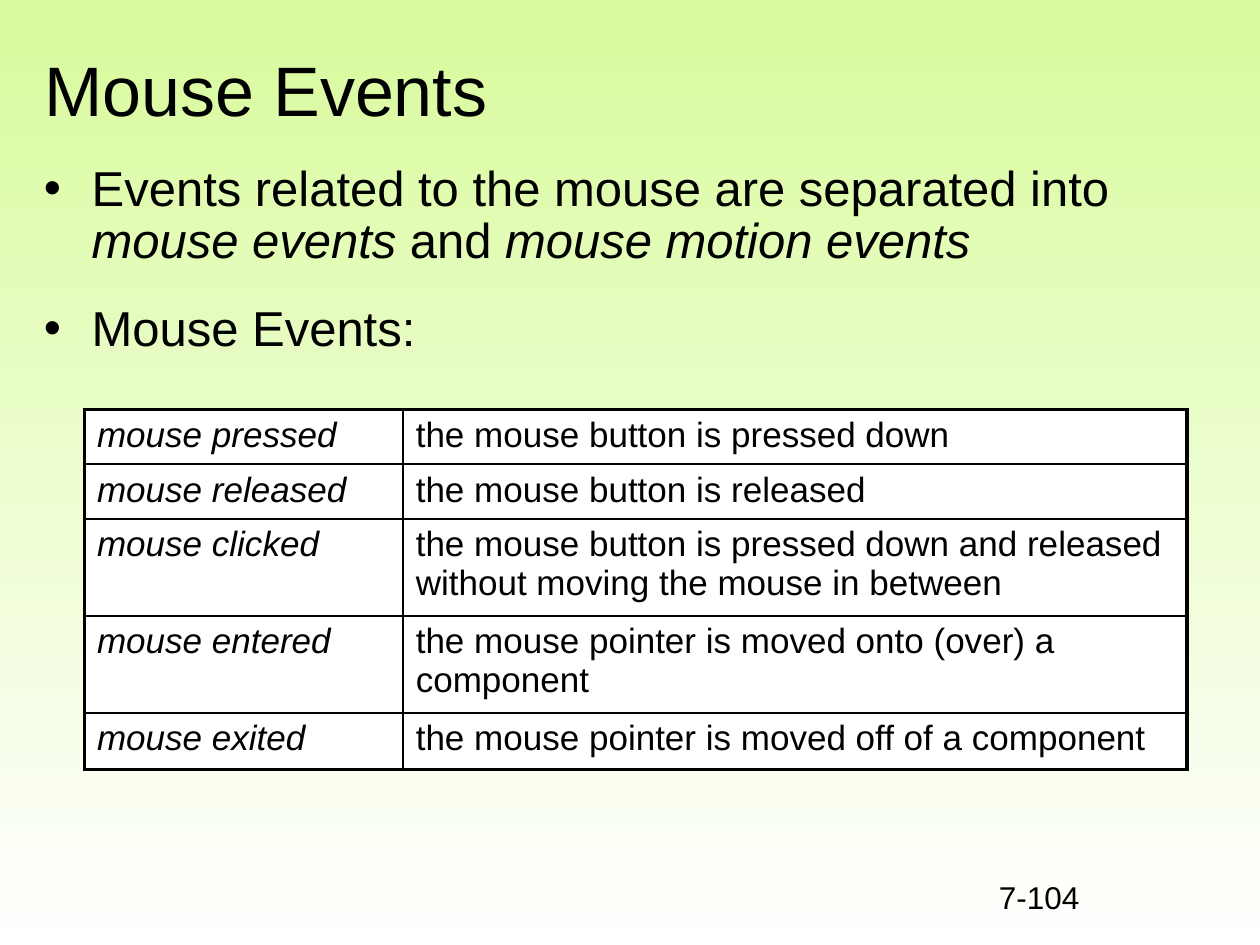
"""Build the Mouse Events slide with its bullets and event table."""
from lxml import etree
from pptx import Presentation
from pptx.dml.color import RGBColor
from pptx.enum.text import MSO_ANCHOR, PP_ALIGN
from pptx.oxml.ns import qn
from pptx.util import Inches, Pt

LEFT = PP_ALIGN.LEFT
TOP, MIDDLE = MSO_ANCHOR.TOP, MSO_ANCHOR.MIDDLE

THEME = {
    "font": "Arial", "ink": "000000", "paper": "FFFFFF", "sky": "D9FB9D",
    "title": 40, "body": 28, "cell": 20, "number": 18,
    "outer": 2.25, "inner": 1,
}

TITLE = "Mouse Events"
BULLETS = [
    [("Events related to the mouse are separated into ", False),
     ("mouse events", True), (" and ", False), ("mouse motion events", True)],
    [("Mouse Events:", False)],
]
EVENTS = [
    ("mouse pressed", "the mouse button is pressed down"),
    ("mouse released", "the mouse button is released"),
    ("mouse clicked", "the mouse button is pressed down and released "
                      "without moving the mouse in between"),
    ("mouse entered", "the mouse pointer is moved onto (over) a component"),
    ("mouse exited", "the mouse pointer is moved off of a component"),
]
PAGE_NUMBER = "7-104"

TITLE_BOX = (0.25, 0.08, 9.33, 1.25)
BODY_BOX = (0.25, 1.25, 9.5, 1.83)
TABLE_BOX = (0.67, 3.25, 8.75, 2.85)
NUMBER_BOX = (7.83, 6.92, 2.08, 0.5)
COLUMN_WIDTHS = [2.53, 6.22]
ROW_HEIGHTS = [0.43, 0.43, 0.77, 0.77, 0.45]
BULLET_INDENT = 0.38


def inches(box):
    return [Inches(length) for length in box]


def add_bullet(paragraph):
    properties = paragraph._p.get_or_add_pPr()
    properties.set("marL", str(Inches(BULLET_INDENT)))
    properties.set("indent", str(-Inches(BULLET_INDENT)))
    etree.SubElement(properties, qn("a:buFont"), typeface=THEME["font"])
    etree.SubElement(properties, qn("a:buChar"), char="•")


def write(frame, paragraphs, size, bullet=False, anchor=TOP, spacing=1, gap=0):
    frame.word_wrap = True
    frame.vertical_anchor = anchor
    for index, runs in enumerate(paragraphs):
        paragraph = frame.add_paragraph() if index else frame.paragraphs[0]
        paragraph.alignment = LEFT
        paragraph.line_spacing = spacing
        paragraph.space_before = Pt(gap if index else 0)
        if bullet:
            add_bullet(paragraph)
        for text, italic in runs:
            run = paragraph.add_run()
            run.text = text
            run.font.name = THEME["font"]
            run.font.size = Pt(size)
            run.font.italic = italic
            run.font.color.rgb = RGBColor.from_string(THEME["ink"])


def set_borders(cell, outer_sides):
    properties = cell._tc.get_or_add_tcPr()
    for index, side in enumerate("LRTB"):
        width = THEME["outer" if side in outer_sides else "inner"]
        border = etree.Element(qn(f"a:ln{side}"), w=str(Pt(width)))
        fill = etree.SubElement(border, qn("a:solidFill"))
        etree.SubElement(fill, qn("a:srgbClr"), val=THEME["ink"])
        properties.insert(index, border)


def add_event_table(slide):
    rows, columns = len(EVENTS), len(COLUMN_WIDTHS)
    table = slide.shapes.add_table(rows, columns, *inches(TABLE_BOX)).table
    table.first_row = table.horz_banding = False
    for column, width in zip(table.columns, COLUMN_WIDTHS):
        column.width = Inches(width)
    for row, height in zip(table.rows, ROW_HEIGHTS):
        row.height = Inches(height)
    for r, event in enumerate(EVENTS):
        for c, text in enumerate(event):
            cell = table.cell(r, c)
            write(cell.text_frame, [[(text, c == 0)]], THEME["cell"])
            cell.fill.solid()
            cell.fill.fore_color.rgb = RGBColor.from_string(THEME["paper"])
            edges = {"L": c == 0, "R": c == columns - 1,
                     "T": r == 0, "B": r == rows - 1}
            set_borders(cell, [side for side, outer in edges.items() if outer])


def paint_background(slide):
    fill = slide.background.fill
    fill.gradient()
    fill.gradient_angle = 270
    for stop, position, name in zip(fill.gradient_stops, (0, 1), ("sky", "paper")):
        stop.position = position
        stop.color.rgb = RGBColor.from_string(THEME[name])


def main():
    deck = Presentation()
    deck.slide_width, deck.slide_height = Inches(10), Inches(7.5)
    slide = deck.slides.add_slide(deck.slide_layouts[5])
    paint_background(slide)

    title = slide.shapes.title
    title.left, title.top, title.width, title.height = inches(TITLE_BOX)
    write(title.text_frame, [[(TITLE, False)]], THEME["title"], anchor=MIDDLE)

    body = slide.shapes.add_textbox(*inches(BODY_BOX))
    write(body.text_frame, BULLETS, THEME["body"], bullet=True,
          spacing=0.9, gap=0.7 * THEME["body"])

    add_event_table(slide)
    number = slide.shapes.add_textbox(*inches(NUMBER_BOX))
    write(number.text_frame, [[(PAGE_NUMBER, False)]], THEME["number"])
    deck.save("out.pptx")


if __name__ == "__main__":
    main()
